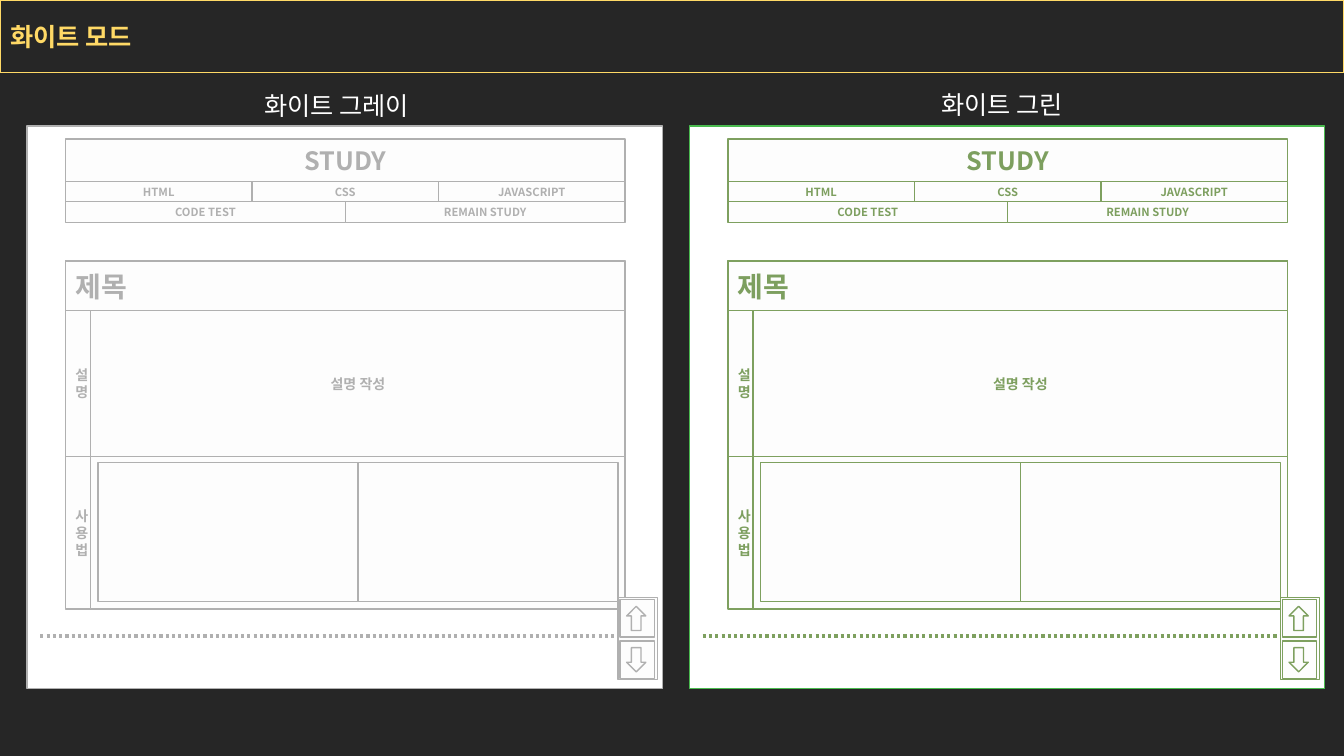
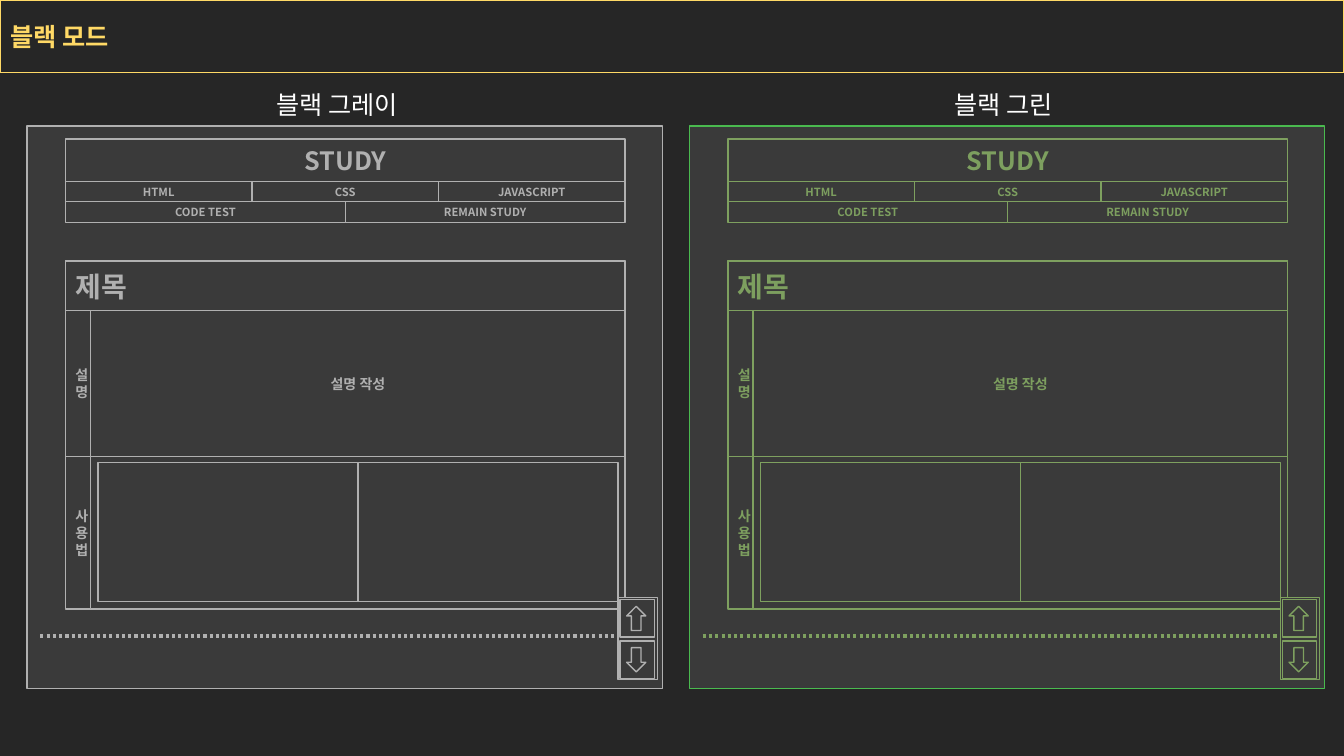
from lxml import etree
from pptx import Presentation
from pptx.dml.color import RGBColor
from pptx.enum.dml import MSO_LINE
from pptx.enum.shapes import MSO_CONNECTOR, MSO_SHAPE
from pptx.enum.text import MSO_ANCHOR, MSO_AUTO_SIZE, PP_ALIGN
from pptx.oxml.ns import qn
from pptx.util import Inches, Pt

FONT = "Noto Sans CJK KR"
DARK, YELLOW, WHITE = "262626", "FFD966", "FFFFFF"
GRAY, GREEN, GREEN_TEXT, GREEN_FRAME = "B0B0B0", "7EA05F", "7D9F5F", "4ABA4F"
rgb = RGBColor.from_string

# Left edge, line, text and frame colour of the gray and the green panel
PANELS = [(0.27, GRAY, GRAY, GRAY), (6.84, GREEN, GREEN_TEXT, GREEN_FRAME)]

# Title, panel fill, box fill, captions (text, left, top, width)
MODES = [
    ("화이트 모드", WHITE, "FDFDFD",
     [("화이트 그레이", 2.52, 0.85, 1.81), ("화이트 그린", 9.24, 0.84, 1.55)]),
    ("블랙 모드", "3A3A3A", "3A3A3A",
     [("블랙 그레이", 2.64, 0.84, 1.55), ("블랙 그린", 9.37, 0.84, 1.3)]),
]

MARGIN, CONTENT_W, LABEL_W = 0.38, 5.55, 0.25
MENU = [(1.8, ["HTML", "CSS", "JAVASCRIPT"]), (2.0, ["CODE TEST", "REMAIN STUDY"])]


def write(tf, text, size, color, bold=True, align=PP_ALIGN.CENTER):
    p = tf.paragraphs[0]
    p.alignment = align
    r = p.add_run()
    r.text = text
    r.font.name, r.font.size, r.font.bold = FONT, Pt(size), bold
    r.font.color.rgb = rgb(color)
    # East Asian letters take their font from a:ea
    etree.SubElement(r.font._element, qn("a:ea"), typeface=FONT)


def box(s, x, y, w, h, fill, line, kind=MSO_SHAPE.RECTANGLE):
    sp = s.shapes.add_shape(kind, Inches(x), Inches(y), Inches(w), Inches(h))
    sp.shadow.inherit = False
    sp.fill.solid()
    sp.fill.fore_color.rgb = rgb(fill)
    sp.line.color.rgb = rgb(line)
    sp.line.width = Pt(1)
    return sp


prs = Presentation()
prs.slide_width, prs.slide_height = Inches(13.33), Inches(7.5)
background = prs.slide_master.background.fill
background.solid()
background.fore_color.rgb = rgb(DARK)

for title, panel_fill, fill, captions in MODES:
    s = prs.slides.add_slide(prs.slide_layouts[5])

    # Title band
    band = s.shapes.title
    band.left, band.top = Inches(0), Inches(0)
    band.width, band.height = prs.slide_width, Inches(0.72)
    band.fill.solid()
    band.fill.fore_color.rgb = rgb(DARK)
    band.line.color.rgb = rgb(YELLOW)
    band.line.width = Pt(1)
    tf = band.text_frame
    tf.auto_size = MSO_AUTO_SIZE.NONE
    tf.vertical_anchor = MSO_ANCHOR.MIDDLE
    write(tf, title, 18, YELLOW, align=PP_ALIGN.LEFT)

    for (left, line, ink, frame), caption in zip(PANELS, captions):
        box(s, left, 1.25, 6.3, 5.58, panel_fill, frame)
        x = left + MARGIN

        # Menu
        sp = box(s, x, 1.38, CONTENT_W, 0.42, fill, line)
        write(sp.text_frame, "STUDY", 18, ink)
        for y, items in MENU:
            w = CONTENT_W / len(items)
            for i, item in enumerate(items):
                sp = box(s, x + i * w, y, w, 0.21, fill, line)
                write(sp.text_frame, item, 8, ink)

        # Article: heading, description, usage
        box(s, x, 2.59, CONTENT_W, 3.45, fill, line)
        sp = box(s, x, 2.59, CONTENT_W, 0.49, fill, line)
        write(sp.text_frame, "제목", 20, ink, align=PP_ALIGN.LEFT)
        for label, y, h in [("설명", 3.08, 1.45), ("사용법", 4.53, 1.51)]:
            sp = box(s, x, y, LABEL_W, h, fill, line)
            write(sp.text_frame, label, 10, ink)
        sp = box(s, x + LABEL_W, 3.08, CONTENT_W - LABEL_W, 1.45, fill, line)
        write(sp.text_frame, "설명 작성", 10, ink)
        for i in range(2):
            box(s, x + 0.32 + i * 2.58, 4.59, 2.58, 1.38, fill, line)

        # Dotted divider
        divider = s.shapes.add_connector(
            MSO_CONNECTOR.STRAIGHT, Inches(left + 0.13), Inches(6.31),
            Inches(left + 6.22), Inches(6.31))
        divider.line.color.rgb = rgb(line)
        divider.line.width = Pt(2.25)
        divider.line.dash_style = MSO_LINE.ROUND_DOT
        etree.SubElement(divider._element.spPr, qn("a:effectLst"))

        # Scroll buttons
        box(s, left + 5.86, 5.93, 0.39, 0.81, fill, line)
        for y, rotation in [(5.95, 270), (6.36, 90)]:
            box(s, left + 5.88, y, 0.34, 0.37, fill, line)
            arrow = box(s, left + 5.92, y + 0.09, 0.24, 0.19, fill, line,
                        MSO_SHAPE.RIGHT_ARROW)
            arrow.rotation = rotation

        # Caption
        text, cx, cy, cw = caption
        tf = s.shapes.add_textbox(
            Inches(cx), Inches(cy), Inches(cw), Inches(0.4)).text_frame
        tf.word_wrap = False
        tf.auto_size = MSO_AUTO_SIZE.SHAPE_TO_FIT_TEXT
        write(tf, text, 18, WHITE, bold=False, align=PP_ALIGN.LEFT)

prs.save("out.pptx")
